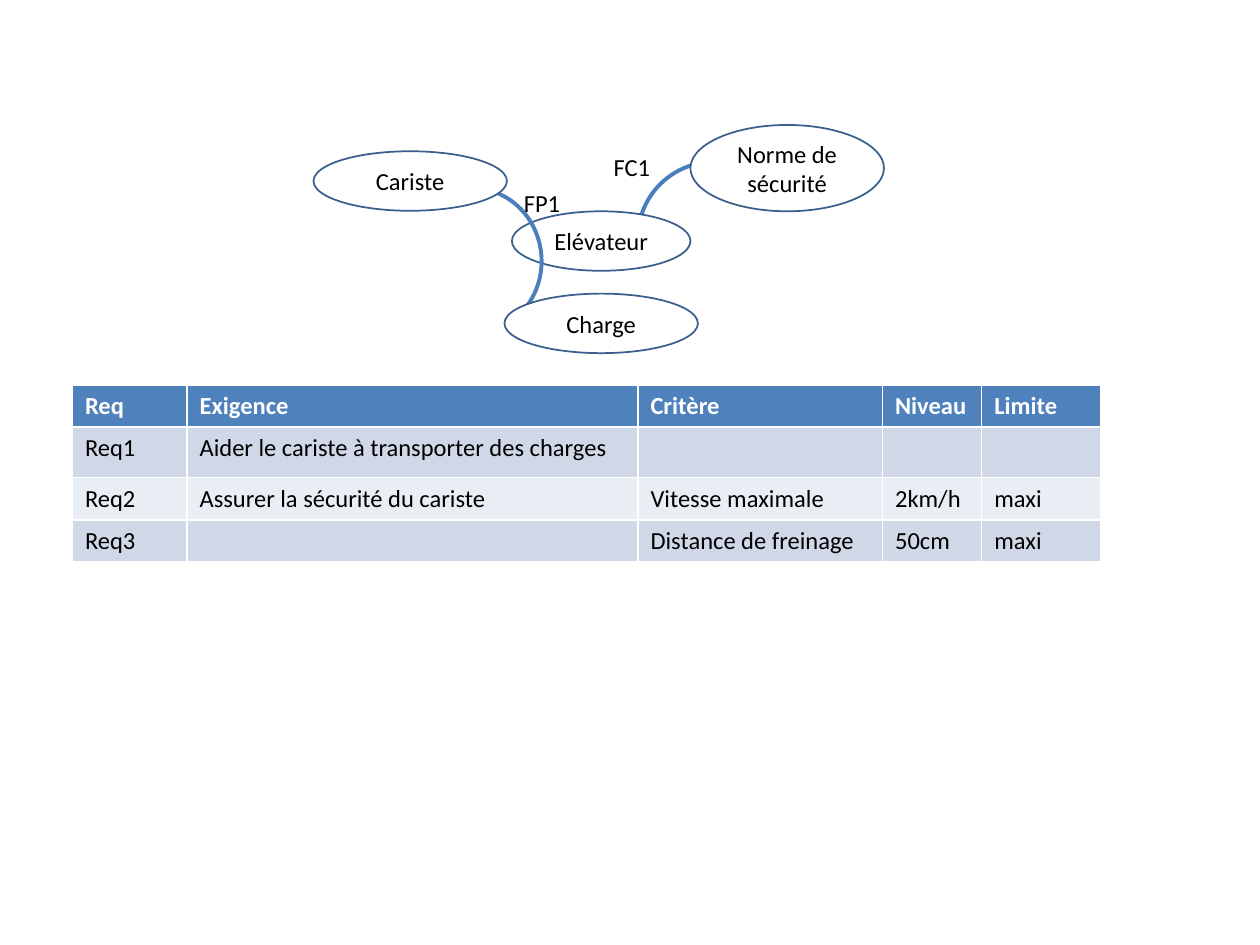
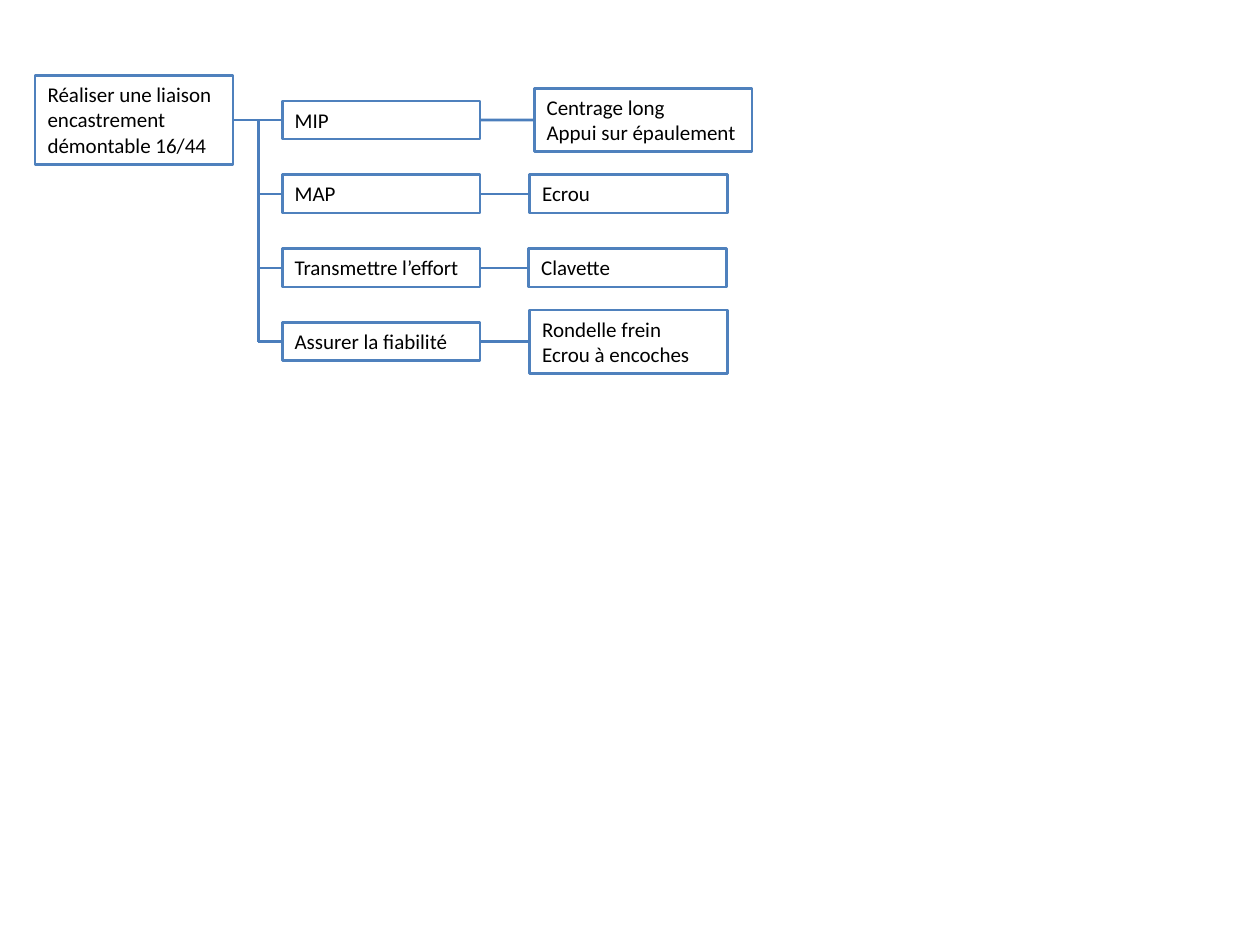
import pptx
import pptx.dml.color
import pptx.enum.shapes
import pptx.enum.text
import pptx.oxml.ns
import pptx.util
from lxml import etree

Cm = pptx.util.Cm
Pt = pptx.util.Pt
SHAPE = pptx.enum.shapes.MSO_SHAPE
ALIGN = pptx.enum.text.PP_ALIGN
ANCHOR = pptx.enum.text.MSO_ANCHOR
AUTO_SIZE = pptx.enum.text.MSO_AUTO_SIZE
qn = pptx.oxml.ns.qn

FONT = "Calibri"
BLACK, WHITE = "000000", "FFFFFF"
ACCENT, LINK, OUTLINE = "4F81BD", "4B7EBC", "3A5F8C"
BANDS = ("D0D8E8", "E9EDF4")


def color(value):
    return pptx.dml.color.RGBColor.from_string(value)


def set_fill(target, value):
    target.fill.solid()
    target.fill.fore_color.rgb = color(value)


def set_line(shape, value, width):
    shape.line.color.rgb = color(value)
    shape.line.width = Pt(width)


def write_text(frame, text, size=14, text_color=BLACK, bold=False, align=ALIGN.LEFT):
    for index, line in enumerate(text.split("\n")):
        paragraph = frame.add_paragraph() if index else frame.paragraphs[0]
        paragraph.alignment = align
        if not line:
            end = etree.SubElement(paragraph._p, qn("a:endParaRPr"))
            end.set("sz", str(size * 100))
            continue
        run = paragraph.add_run()
        run.text = line
        run.font.name = FONT
        run.font.size = Pt(size)
        run.font.bold = bold
        run.font.color.rgb = color(text_color)


def add_text_box(shapes, text, left, top, width, height, wrap=True, **text_format):
    box = shapes.add_textbox(Cm(left), Cm(top), Cm(width), Cm(height))
    box.text_frame.word_wrap = wrap
    box.text_frame.auto_size = AUTO_SIZE.SHAPE_TO_FIT_TEXT
    write_text(box.text_frame, text, **text_format)
    return box


def add_ellipse(shapes, text, left, top, width, height):
    ellipse = shapes.add_shape(SHAPE.OVAL, Cm(left), Cm(top), Cm(width), Cm(height))
    ellipse.shadow.inherit = False
    set_fill(ellipse, WHITE)
    set_line(ellipse, OUTLINE, 1)
    ellipse.text_frame.word_wrap = True
    ellipse.text_frame.vertical_anchor = ANCHOR.MIDDLE
    write_text(ellipse.text_frame, text, align=ALIGN.CENTER)


def add_arc(shapes, left, top, start_angle, rotation=0):
    arc = shapes.add_shape(SHAPE.ARC, Cm(left), Cm(top), Cm(2.82), Cm(2.95))
    arc.shadow.inherit = False
    arc.fill.background()
    set_line(arc, LINK, 2.25)
    for index, degrees in enumerate((start_angle, 51.28)):
        arc.adjustments[index] = degrees * 0.6
    arc.rotation = rotation


def add_interaction_diagram(slide, left, top):
    shapes = slide.shapes.add_group_shape().shapes
    add_arc(shapes, left + 6.58, top + 0.71, 301.6, rotation=228.3)
    add_ellipse(shapes, "Elévateur", left + 4.0, top + 1.74, 3.6, 1.2)
    add_ellipse(shapes, "Norme de sécurité", left + 7.6, top, 3.9, 1.74)
    add_arc(shapes, left + 1.78, top + 1.27, 281.83)
    add_ellipse(shapes, "Cariste", left, top + 0.53, 3.9, 1.2)
    add_ellipse(shapes, "Charge", left + 3.85, top + 3.4, 3.9, 1.2)
    for label, x, y in (("FP1", 3.99, 1.14), ("FC1", 5.8, 0.42)):
        add_text_box(shapes, label, left + x, top + y, 1.24, 0.86, wrap=False)


def add_requirements_table(slide, left, top):
    rows = (
        ("Req", "Exigence", "Critère", "Niveau", "Limite"),
        ("Req1", "Aider le cariste à transporter des charges", "", "", ""),
        ("Req2", "Assurer la sécurité du cariste", "Vitesse maximale", "2km/h", "maxi"),
        ("Req3", "", "Distance de freinage", "50cm", "maxi"),
    )
    widths = (2.31, 9.09, 4.93, 2.0, 2.39)
    heights = (0.85, 1.02, 0.85, 0.85)
    table = slide.shapes.add_table(
        len(rows), len(widths), Cm(left), Cm(top), Cm(sum(widths)), Cm(sum(heights))
    ).table
    for column, width in zip(table.columns, widths):
        column.width = Cm(width)
    for row_index, (row, height) in enumerate(zip(rows, heights)):
        table.rows[row_index].height = Cm(height)
        header = row_index == 0
        for column_index, text in enumerate(row):
            cell = table.cell(row_index, column_index)
            set_fill(cell, ACCENT if header else BANDS[(row_index - 1) % 2])
            write_text(cell.text_frame, text, bold=header,
                       text_color=WHITE if header else BLACK)


def add_node(slide, text, left, middle, width=3.99, line_count=None):
    height = 0.26 + 0.51 * (line_count or len(text.split("\n")))
    node = add_text_box(slide.shapes, text, left, middle - height / 2, width, height, size=12)
    set_line(node, ACCENT, 1.5)
    return node


def add_link(slide, start=(0, 0), end=(0, 0), source=None, target=None):
    connector = slide.shapes.add_connector(
        pptx.enum.shapes.MSO_CONNECTOR.STRAIGHT, *(Cm(value) for value in start + end)
    )
    set_line(connector, LINK, 1.5)
    etree.SubElement(connector._element.spPr, qn("a:effectLst"))
    if source is not None:
        connector.begin_connect(source, 3)
    if target is not None:
        connector.end_connect(target, 1)


def add_function_tree(slide, left, top):
    branches = (
        ("MIP", "Centrage long\nAppui sur épaulement", 10.06, 4.39),
        ("MAP", "Ecrou", 9.97, 3.99),
        ("Transmettre l’effort", "Clavette", 9.95, 3.99),
        ("Assurer la fiabilité", "Rondelle frein\nEcrou à encoches", 9.97, 3.99),
    )
    first_middle, pitch = top + 0.9, 1.49
    trunk = left + 4.5
    root = add_node(slide, "Réaliser une liaison encastrement démontable 16/44",
                    left, first_middle, line_count=3)
    for index, (name, solution, offset, width) in enumerate(branches):
        middle = first_middle + index * pitch
        branch = add_node(slide, name, left + 4.98, middle)
        detail = add_node(slide, solution, left + offset, middle, width)
        add_link(slide, source=branch, target=detail)
        if index == 0:
            add_link(slide, source=root, target=branch)
        else:
            add_link(slide, start=(trunk, middle), target=branch)
    add_link(slide, start=(trunk, middle), end=(trunk, first_middle))


def main():
    presentation = pptx.Presentation()
    presentation.slide_width = Cm(25.4)
    presentation.slide_height = Cm(19.05)
    blank = presentation.slide_layouts[6]
    requirements = presentation.slides.add_slide(blank)
    add_interaction_diagram(requirements, 6.32, 2.52)
    add_requirements_table(requirements, 1.46, 7.76)
    add_function_tree(presentation.slides.add_slide(blank), 0.71, 1.52)
    presentation.save("out.pptx")


if __name__ == "__main__":
    main()
